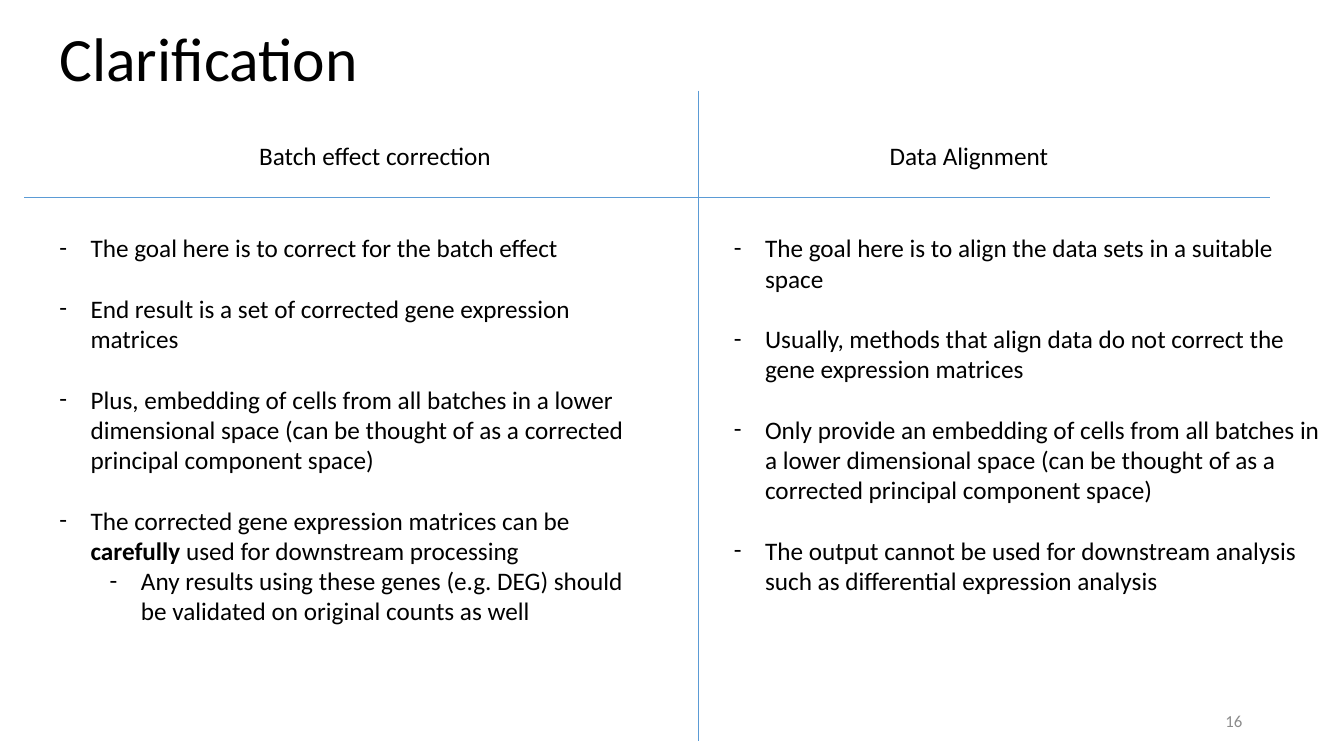
from dataclasses import dataclass

from lxml import etree
from pptx import Presentation
from pptx.dml.color import RGBColor
from pptx.enum.shapes import MSO_CONNECTOR
from pptx.enum.text import MSO_ANCHOR, MSO_AUTO_SIZE, PP_ALIGN
from pptx.oxml.ns import qn
from pptx.util import Inches, Pt

STRAIGHT = MSO_CONNECTOR.STRAIGHT
TOP, MIDDLE = MSO_ANCHOR.TOP, MSO_ANCHOR.MIDDLE
FIXED, GROW = MSO_AUTO_SIZE.NONE, MSO_AUTO_SIZE.SHAPE_TO_FIT_TEXT
LEFT, CENTER, RIGHT = PP_ALIGN.LEFT, PP_ALIGN.CENTER, PP_ALIGN.RIGHT
TITLE_ONLY = 5


@dataclass(frozen=True)
class Theme:
    font: str = "Calibri"
    text: RGBColor = RGBColor(0x00, 0x00, 0x00)
    muted: RGBColor = RGBColor(0x8C, 0x8C, 0x8C)
    rule: RGBColor = RGBColor(0x5B, 0x9B, 0xD5)
    title_size: float = 44
    body_size: float = 18
    number_size: float = 12
    rule_width: float = 0.5
    item_gap: float = 21.6
    hang: float = 0.31
    level_step: float = 0.5


def write(para, text, *, theme, size, color, align=LEFT):
    """Fill a paragraph; text between ** marks is bold."""
    para.alignment = align
    for index, part in enumerate(text.split("**")):
        span = para.add_run()
        span.text = part
        span.font.name = theme.font
        span.font.size = Pt(size)
        span.font.bold = index % 2 == 1
        span.font.color.rgb = color


class SlideBuilder:
    def __init__(self, page, theme):
        self.page = page
        self.theme = theme

    def place(self, box, left, top, width, height):
        box.left, box.top = Inches(left), Inches(top)
        box.width, box.height = Inches(width), Inches(height)

    def title(self, text, *area):
        box = self.page.shapes.title
        self.place(box, *area)
        frame = box.text_frame
        frame.word_wrap = True
        frame.auto_size = FIXED
        frame.vertical_anchor = MIDDLE
        para = frame.paragraphs[0]
        para.line_spacing = 0.9
        write(para, text, theme=self.theme, size=self.theme.title_size,
              color=self.theme.text)

    def frame(self, area, anchor=TOP, fit=GROW):
        box = self.page.shapes.add_textbox(*map(Inches, area))
        frame = box.text_frame
        frame.word_wrap = True
        frame.auto_size = fit
        frame.vertical_anchor = anchor
        return frame

    def heading(self, text, *area):
        write(self.frame(area).paragraphs[0], text, theme=self.theme,
              size=self.theme.body_size, color=self.theme.text, align=CENTER)

    def page_number(self, text, *area):
        write(self.frame(area, MIDDLE, FIXED).paragraphs[0], text,
              theme=self.theme, size=self.theme.number_size,
              color=self.theme.muted, align=RIGHT)

    def dash_list(self, items, *area):
        """Write (level, text) items as hanging dashes."""
        frame = self.frame(area)
        for index, (level, text) in enumerate(items):
            para = frame.add_paragraph() if index else frame.paragraphs[0]
            self.dash(para, level)
            para.level = level
            if index and level == 0:
                para.space_before = Pt(self.theme.item_gap)
            write(para, text, theme=self.theme, size=self.theme.body_size,
                  color=self.theme.text)

    def dash(self, para, level):
        props = para._p.get_or_add_pPr()
        indent = self.theme.hang + level * self.theme.level_step
        props.set("marL", str(Inches(indent)))
        props.set("indent", str(-Inches(self.theme.hang)))
        etree.SubElement(props, qn("a:buFont"), typeface=self.theme.font)
        etree.SubElement(props, qn("a:buChar"), char="-")

    def rule(self, *ends):
        line = self.page.shapes.add_connector(STRAIGHT, *map(Inches, ends))
        line.line.color.rgb = self.theme.rule
        line.line.width = Pt(self.theme.rule_width)
        etree.SubElement(line._element.spPr, qn("a:effectLst"))


# Each column: heading, heading left, list left, list height, items
COLUMNS = [
    ("Batch effect correction", 1.47, 0.49, 4.04, [
        (0, "The goal here is to correct for the batch effect"),
        (0, "End result is a set of corrected gene expression matrices"),
        (0, "Plus, embedding of cells from all batches in a lower dimensional "
            "space (can be thought of as a corrected principal component space)"),
        (0, "The corrected gene expression matrices can be **carefully **used "
            "for downstream processing"),
        (1, "Any results using these genes (e.g. DEG) should be validated on "
            "original counts as well"),
    ]),
    ("Data Alignment", 7.36, 7.18, 3.74, [
        (0, "The goal here is to align the data sets in a suitable space"),
        (0, "Usually, methods that align data do not correct the gene "
            "expression matrices"),
        (0, "Only provide an embedding of cells from all batches in a lower "
            "dimensional space (can be thought of as a corrected principal "
            "component space)"),
        (0, "The output cannot be used for downstream analysis such as "
            "differential expression analysis"),
    ]),
]


def main():
    deck = Presentation()
    deck.slide_width, deck.slide_height = Inches(13.33), Inches(7.5)
    page = deck.slides.add_slide(deck.slide_layouts[TITLE_ONLY])
    builder = SlideBuilder(page, Theme())

    # Title and page number
    builder.title("Clarification", 0.49, -0.11, 11.5, 1.45)
    builder.page_number("16", 9.42, 6.95, 3, 0.4)

    # Dividing lines
    builder.rule(0.24, 1.96, 12.6, 1.96)
    builder.rule(6.93, 0.9, 6.93, 7.35)

    # Two compared columns
    for heading, heading_left, list_left, list_height, items in COLUMNS:
        builder.heading(heading, heading_left, 1.34, 4.5, 0.4)
        builder.dash_list(items, list_left, 2.26, 6.03, list_height)

    deck.save("out.pptx")


if __name__ == "__main__":
    main()
